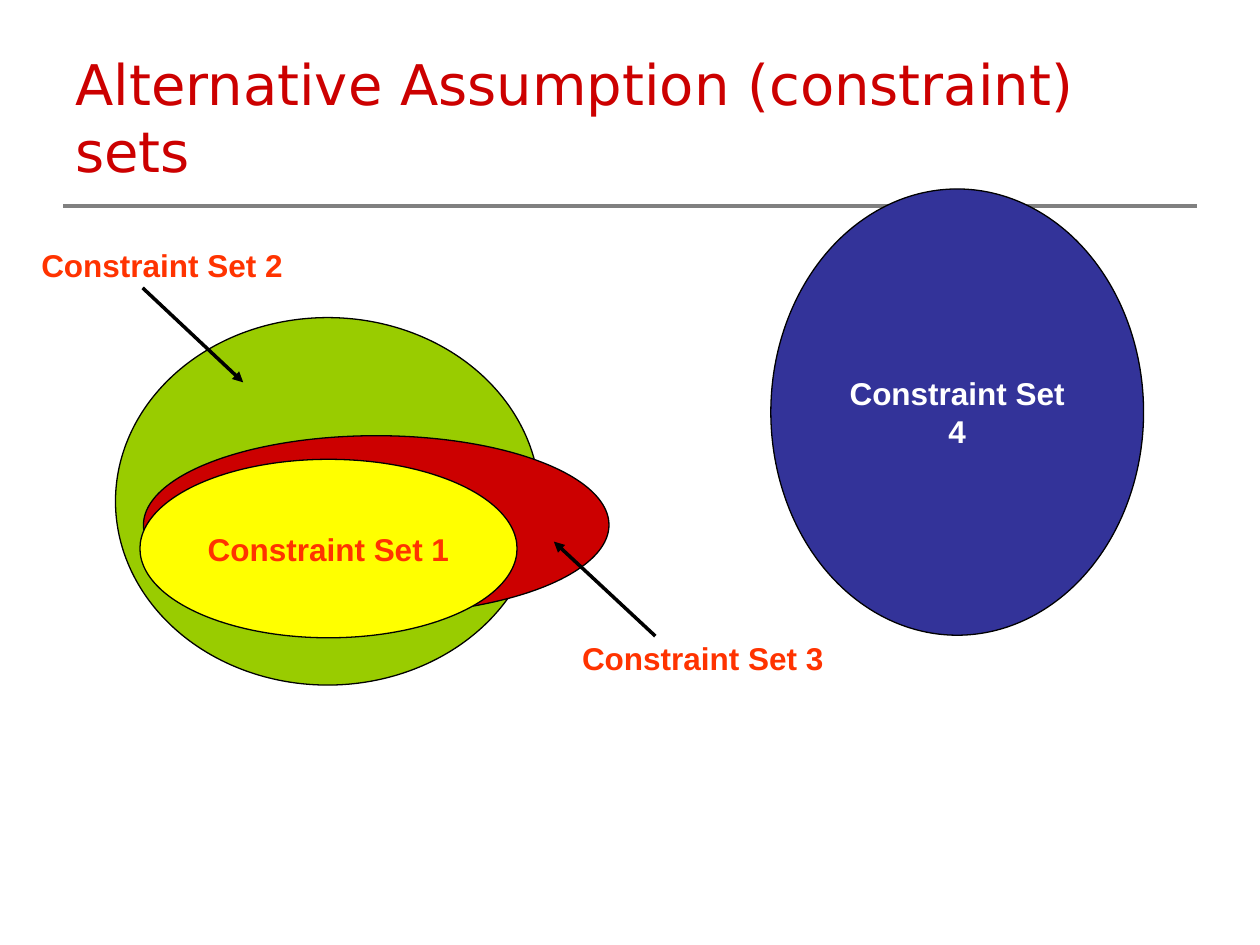
from lxml.etree import SubElement
from pptx import Presentation
from pptx.dml.color import RGBColor
from pptx.enum.shapes import MSO_CONNECTOR, MSO_SHAPE
from pptx.enum.text import MSO_ANCHOR, PP_ALIGN
from pptx.oxml.ns import qn
from pptx.util import Pt

BLACK = RGBColor(0x00, 0x00, 0x00)
WHITE = RGBColor(0xFF, 0xFF, 0xFF)
GRAY = RGBColor(0x80, 0x80, 0x80)
RED = RGBColor(0xCC, 0x00, 0x00)
ORANGE = RGBColor(0xFF, 0x33, 0x00)
GREEN = RGBColor(0x99, 0xCC, 0x00)
BLUE = RGBColor(0x33, 0x33, 0x99)
YELLOW = RGBColor(0xFF, 0xFF, 0x00)


def write(frame, text, color, size=18, font="Arial", bold=True):
    """Write one run of text into the first paragraph of a frame."""
    run = frame.paragraphs[0].add_run()
    run.text = text
    run.font.name = font
    run.font.size = Pt(size)
    run.font.bold = bold
    run.font.color.rgb = color


def add_rule(slide, start, end, color, width):
    """Draw a straight line between two points and return it."""
    rule = slide.shapes.add_connector(
        MSO_CONNECTOR.STRAIGHT, *map(Pt, start + end))
    rule.line.color.rgb = color
    rule.line.width = Pt(width)
    SubElement(rule._element.spPr, qn("a:effectLst"))
    return rule


def add_arrow(slide, start, end):
    """Draw an arrow that points at its end."""
    arrow = add_rule(slide, start, end, BLACK, 2)
    SubElement(arrow.line._get_or_add_ln(), qn("a:tailEnd"), type="triangle")


def add_title(slide, box, text):
    """Place the title in its box, with a rule below it."""
    left, top, width, height = box
    rule_y = top + height + 6
    add_rule(slide, (left, rule_y), (left + width, rule_y), GRAY, 2.25)
    frame = slide.shapes.add_textbox(*map(Pt, box)).text_frame
    frame.word_wrap = True
    frame.vertical_anchor = MSO_ANCHOR.MIDDLE
    write(frame, text, RED, 32, "DejaVu Sans", False)


def add_set(slide, box, fill, label="", color=WHITE, wrap=True):
    """Draw a constraint set as an ellipse with an optional centred label."""
    ellipse = slide.shapes.add_shape(MSO_SHAPE.OVAL, *map(Pt, box))
    ellipse.shadow.inherit = False
    ellipse.fill.solid()
    ellipse.fill.fore_color.rgb = fill
    ellipse.line.color.rgb = BLACK
    ellipse.line.width = Pt(0.75)
    if label:
        frame = ellipse.text_frame
        frame.word_wrap = wrap
        frame.vertical_anchor = MSO_ANCHOR.MIDDLE
        frame.paragraphs[0].alignment = PP_ALIGN.CENTER
        write(frame, label, color)


def add_label(slide, left, top, text):
    """Place the label of a set outside its ellipse."""
    frame = slide.shapes.add_textbox(
        Pt(left), Pt(top), Pt(223), Pt(29)).text_frame
    frame.word_wrap = True
    write(frame, text, ORANGE)


def add_diagram(slide, box):
    """Draw the overlapping sets and the separate one within the box."""
    left, top, width, height = box

    def place(x, y, *size):
        return (left + x, top + y, *size)

    add_set(slide, place(49.5, 73.5, 242.5, 210), GREEN)
    add_set(slide, place(width - 213, 0, 213, height), BLUE,
            "Constraint Set 4")
    add_set(slide, place(65.5, 141, 266, 102), RED)
    add_label(slide, *place(0, 29), "Constraint Set 2")
    add_arrow(slide, place(65, 56.5), place(122.5, 110.5))
    add_set(slide, place(63.5, 154.5, 215.5, 102), YELLOW,
            "Constraint Set 1", ORANGE, wrap=False)
    add_label(slide, *place(309, 253.5), "Constraint Set 3")
    add_arrow(slide, place(358, 255.5), place(300, 201.5))


def main():
    """Build the slide and save it."""
    deck = Presentation()
    deck.slide_width, deck.slide_height = Pt(720), Pt(540)
    slide = deck.slides.add_slide(deck.slide_layouts[6])
    add_title(slide, (36, 21.5, 648, 90),
              "Alternative Assumption (constraint) sets")
    add_diagram(slide, (16.5, 108, 637, 255))
    deck.save("out.pptx")


if __name__ == "__main__":
    main()
